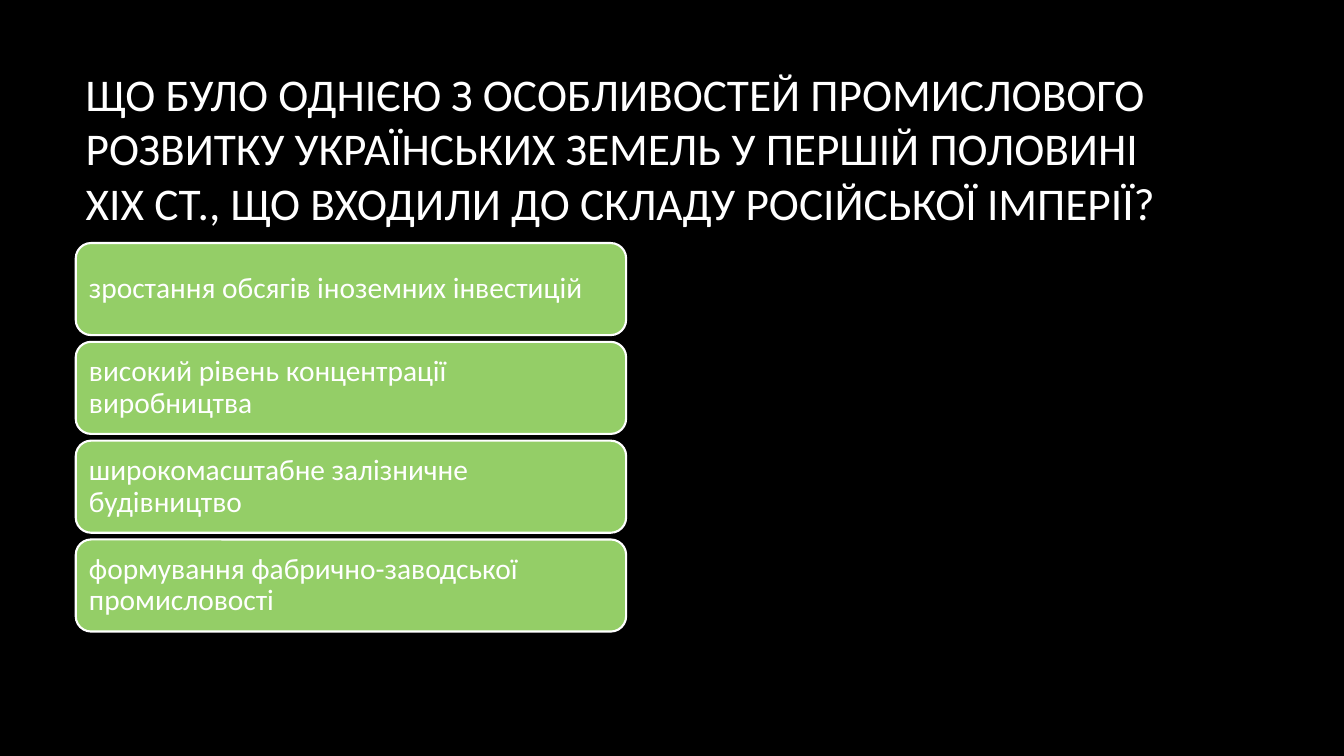
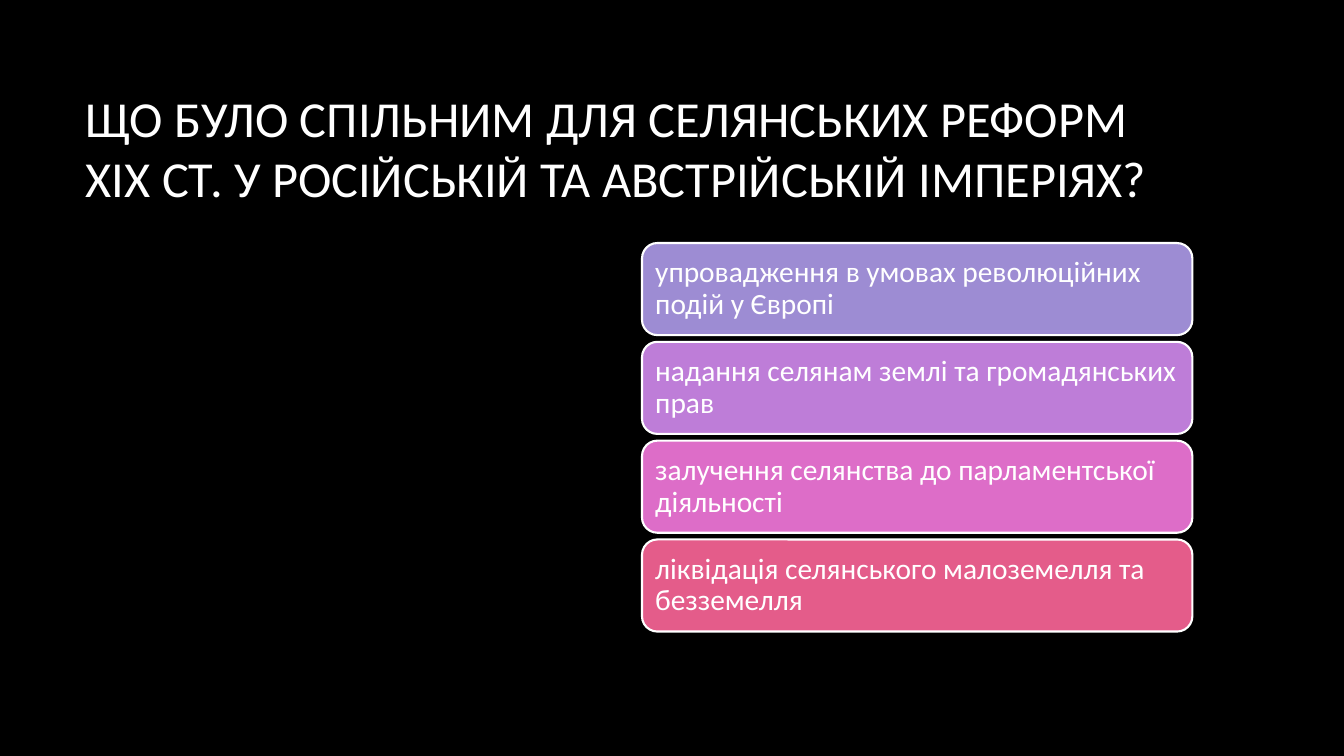
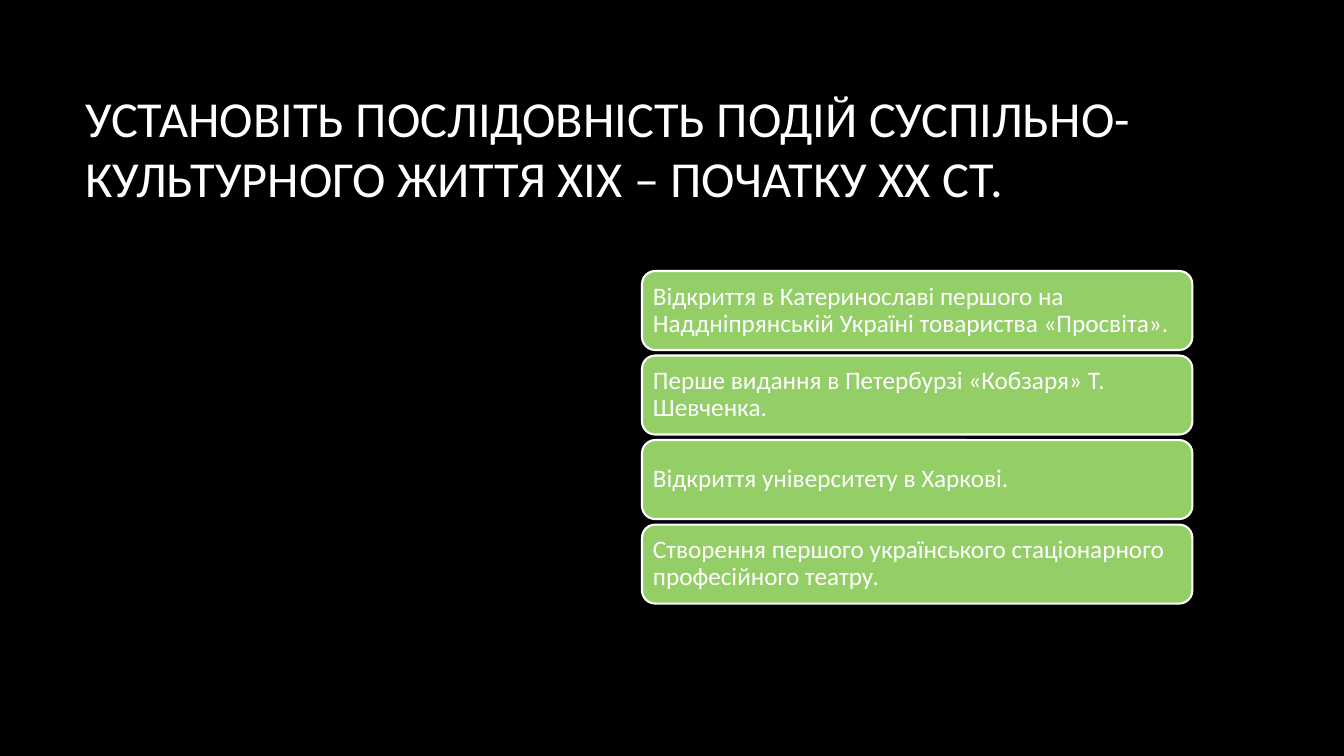
import pptx
import pptx.dml.color
import pptx.enum.shapes
import pptx.enum.text
import pptx.util

Cm = pptx.util.Cm
Pt = pptx.util.Pt

# Shared style
FONT = "Calibri"
BLACK, WHITE, GREEN = "000000", "FFFFFF", "94CE67"
PURPLE_TO_ROSE = ["9D8CD3", "BE7DD8", "DD6DC8", "E45C8A"]

# Shared layout, in centimetres
SLIDE_WIDTH, SLIDE_HEIGHT = 33.87, 19.05
CONTENT_LEFT, CONTENT_WIDTH = 1.91, 28.14
TITLE_TOP, TITLE_HEIGHT = 1.7, 4.04
CARD_WIDTH = 13.87
LEFT_COLUMN = CONTENT_LEFT
RIGHT_COLUMN = CONTENT_LEFT + CONTENT_WIDTH - CARD_WIDTH
STACK_MIDDLE = 11.02

# Card sizes: height, gap and inset in centimetres, text in points
LARGE_CARDS = {"height": 2.32, "gap": 0.17, "inset": 0.22, "text_size": 21}
SMALL_CARDS = {"height": 1.99, "gap": 0.14, "inset": 0.18, "text_size": 18}


def color(hex_string):
    return pptx.dml.color.RGBColor.from_string(hex_string)


def set_text(shape, text, size, line_spacing=1.0):
    """Write one left-aligned, vertically centred white paragraph."""
    text_frame = shape.text_frame
    text_frame.text = text
    text_frame.word_wrap = True
    text_frame.vertical_anchor = pptx.enum.text.MSO_ANCHOR.MIDDLE
    paragraph = text_frame.paragraphs[0]
    paragraph.alignment = pptx.enum.text.PP_ALIGN.LEFT
    paragraph.line_spacing = line_spacing
    for run in paragraph.runs:
        run.font.name = FONT
        run.font.size = Pt(size)
        run.font.color.rgb = color(WHITE)


def add_question_slide(presentation, title, title_size):
    """Add a black slide with its question."""
    slide = presentation.slides.add_slide(presentation.slide_layouts[6])
    slide.background.fill.solid()
    slide.background.fill.fore_color.rgb = color(BLACK)
    title_box = slide.shapes.add_textbox(
        Cm(CONTENT_LEFT), Cm(TITLE_TOP), Cm(CONTENT_WIDTH), Cm(TITLE_HEIGHT))
    set_text(title_box, title, title_size)
    return slide


def add_card(slide, left, top, height, inset, text, text_size, fill):
    card = slide.shapes.add_shape(
        pptx.enum.shapes.MSO_SHAPE.ROUNDED_RECTANGLE,
        Cm(left), Cm(top), Cm(CARD_WIDTH), Cm(height))
    card.shadow.inherit = False
    card.fill.solid()
    card.fill.fore_color.rgb = color(fill)
    card.line.color.rgb = color(WHITE)
    card.line.width = Pt(1.5)
    text_frame = card.text_frame
    text_frame.margin_left = text_frame.margin_right = Cm(inset)
    text_frame.margin_top = text_frame.margin_bottom = Cm(inset)
    set_text(card, text, text_size, line_spacing=0.9)


def add_answers(slide, left, answers, fills, height, gap, inset, text_size):
    """Stack the answer cards evenly around the shared middle line."""
    stack_height = len(answers) * (height + gap) - gap
    top = STACK_MIDDLE - stack_height / 2
    for index, (answer, fill) in enumerate(zip(answers, fills)):
        add_card(slide, left, top + index * (height + gap), height, inset,
                 answer, text_size, fill)


def main():
    presentation = pptx.Presentation()
    presentation.slide_width = Cm(SLIDE_WIDTH)
    presentation.slide_height = Cm(SLIDE_HEIGHT)

    # Industrial development
    slide = add_question_slide(
        presentation,
        "ЩО БУЛО ОДНІЄЮ З ОСОБЛИВОСТЕЙ ПРОМИСЛОВОГО РОЗВИТКУ УКРАЇНСЬКИХ "
        "ЗЕМЕЛЬ У ПЕРШІЙ ПОЛОВИНІ XIX СТ., ЩО ВХОДИЛИ ДО СКЛАДУ "
        "РОСІЙСЬКОЇ ІМПЕРІЇ?", 32.4)
    add_answers(slide, LEFT_COLUMN, [
        "зростання обсягів іноземних інвестицій",
        "високий рівень концентрації виробництва",
        "широкомасштабне залізничне будівництво",
        "формування фабрично-заводської промисловості",
    ], [GREEN] * 4, **LARGE_CARDS)

    # Peasant reforms
    slide = add_question_slide(
        presentation,
        "ЩО БУЛО СПІЛЬНИМ ДЛЯ СЕЛЯНСЬКИХ РЕФОРМ ХІХ СТ. У РОСІЙСЬКІЙ "
        "ТА АВСТРІЙСЬКІЙ ІМПЕРІЯХ?", 36)
    add_answers(slide, RIGHT_COLUMN, [
        "упровадження в умовах революційних подій у Європі",
        "надання селянам землі та громадянських прав",
        "залучення селянства до парламентської діяльності",
        "ліквідація селянського малоземелля та безземелля",
    ], PURPLE_TO_ROSE, **LARGE_CARDS)

    # Order of cultural events
    slide = add_question_slide(
        presentation,
        "УСТАНОВІТЬ ПОСЛІДОВНІСТЬ ПОДІЙ СУСПІЛЬНО-КУЛЬТУРНОГО ЖИТТЯ "
        "XIX – ПОЧАТКУ XX CТ.", 36)
    add_answers(slide, RIGHT_COLUMN, [
        "Відкриття в Катеринославі першого на Наддніпрянській Україні "
        "товариства «Просвіта».",
        "Перше видання в Петербурзі «Кобзаря» Т. Шевченка.",
        "Відкриття університету в Харкові.",
        "Створення першого українського стаціонарного професійного театру.",
    ], [GREEN] * 4, **SMALL_CARDS)

    presentation.save("out.pptx")


if __name__ == "__main__":
    main()
